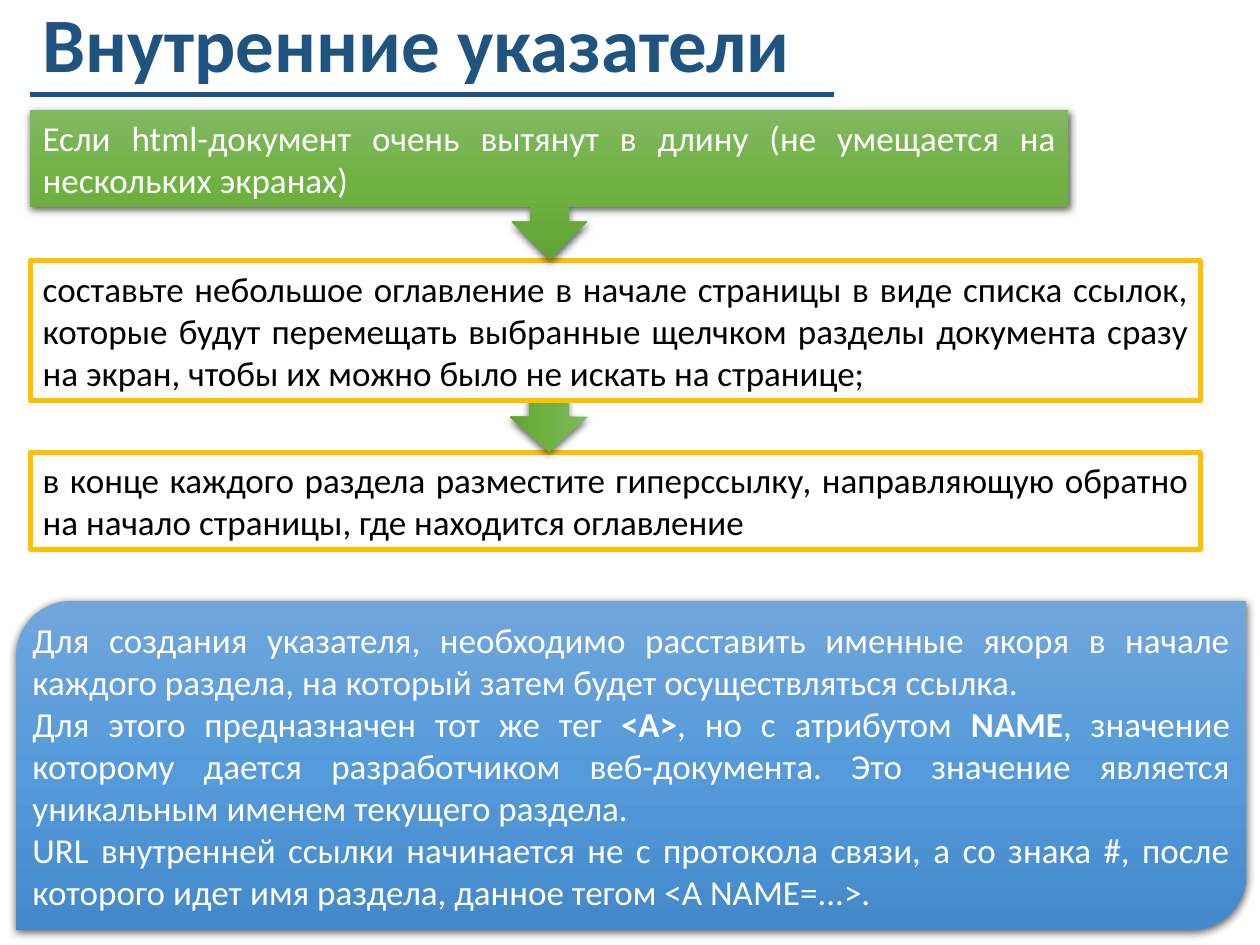
"""Build the slide about internal page anchors."""
from lxml import etree
from pptx import Presentation, util as u
from pptx.dml.color import RGBColor
from pptx.enum import shapes, text
from pptx.oxml import parse_xml
from pptx.oxml.ns import nsdecls

TITLE = "Внутренние указатели"
CONDITION = [[("Если html-документ очень вытянут в длину (не умещается на нескольких экранах)", False)]]
CONTENTS = [[("составьте небольшое оглавление в начале страницы в виде списка ссылок, "
              "которые будут перемещать выбранные щелчком разделы документа сразу на экран, "
              "чтобы их можно было не искать на странице;", False)]]
RETURN_LINK = [[("в конце каждого раздела разместите гиперссылку, направляющую обратно "
                 "на начало страницы, где находится оглавление", False)]]
ANCHORS = [
    [("Для создания указателя, необходимо расставить именные якоря в начале каждого раздела, "
      "на который затем будет осуществляться ссылка.", False)],
    [("Для этого предназначен тот же тег ", False), ("<A>", True), (", но с атрибутом ", False),
     ("NAME", True), (", значение которому дается разработчиком веб-документа. "
                      "Это значение является уникальным именем текущего раздела.", False)],
    [("URL внутренней ссылки начинается не с протокола связи, а со знака #, "
      "после которого идет имя раздела, данное тегом <A NAME=...>.", False)],
]
FONT, NAVY, AMBER, WHITE, BLACK = "Calibri", "1F5480", "FFC000", "FFFFFF", "000000"
GREEN = ("81B861", "6FB242", "62A336")
BLUE = ("71A6DB", "559BDB", "448ACA")
LEFT, STEP_WIDTH = 17.3, 668.9
KIND = shapes.MSO_SHAPE


def color(hex_string):
    """Return the colour for a hex string."""
    return RGBColor.from_string(hex_string)


def add_block(slide, kind, box, paragraphs=(), ink=BLACK, inset=None):
    """Add a shape with justified text."""
    shape = slide.shapes.add_shape(kind, *map(u.Pt, box))
    shape.shadow.inherit = False
    frame = shape.text_frame
    frame.word_wrap = True
    frame.vertical_anchor = text.MSO_ANCHOR.MIDDLE
    if inset is not None:
        frame.margin_left = frame.margin_right = u.Pt(inset)
        frame.margin_top = frame.margin_bottom = u.Pt(inset)
    for index, runs in enumerate(paragraphs):
        paragraph = frame.add_paragraph() if index else frame.paragraphs[0]
        paragraph.alignment = text.PP_ALIGN.JUSTIFY
        paragraph.font.name, paragraph.font.size = FONT, u.Pt(20)
        paragraph.font.color.rgb = color(ink)
        for words, bold in runs:
            run = paragraph.add_run()
            run.text = words
            if bold:
                run.font.bold = True
    return shape


def add_step(slide, top, height, paragraphs):
    """Add a white box with an amber frame."""
    shape = add_block(slide, KIND.RECTANGLE, (LEFT, top, STEP_WIDTH, height), paragraphs)
    shape.fill.solid()
    shape.fill.fore_color.rgb = color(WHITE)
    shape.line.color.rgb = color(AMBER)
    shape.line.width = u.Pt(3)


def make_glossy(shape, colors):
    """Give a shape a vertical gradient and a soft shadow."""
    shape.line.fill.background()
    stops = "".join(f'<a:gs pos="{index * 50000}"><a:srgbClr val="{value}"/></a:gs>'
                    for index, value in enumerate(colors))
    properties = shape.element.spPr
    properties.find("{*}prstGeom").addnext(parse_xml(
        f'<a:gradFill {nsdecls("a")} rotWithShape="1"><a:gsLst>{stops}</a:gsLst>'
        '<a:lin ang="5400000" scaled="0"/></a:gradFill>'))
    properties.find("{*}effectLst").append(parse_xml(
        f'<a:outerShdw {nsdecls("a")} blurRad="{u.Pt(4.5)}" dist="{u.Pt(1.5)}" dir="5400000" '
        'algn="ctr" rotWithShape="0"><a:srgbClr val="000000"><a:alpha val="63000"/>'
        '</a:srgbClr></a:outerShdw>'))


def add_heading(slide):
    """Fill the title and underline it."""
    title = slide.shapes.title
    title.left, title.top, title.width, title.height = map(u.Pt, (LEFT, 0, 542.9, 74.2))
    frame = title.text_frame
    frame.text = TITLE
    frame.auto_size = text.MSO_AUTO_SIZE.NONE
    frame.vertical_anchor = text.MSO_ANCHOR.TOP
    paragraph = frame.paragraphs[0]
    paragraph.alignment = text.PP_ALIGN.LEFT
    paragraph.line_spacing = 0.9
    paragraph.font.name, paragraph.font.size, paragraph.font.bold = FONT, u.Pt(44), True
    paragraph.font.color.rgb = color(NAVY)
    underline = slide.shapes.add_connector(
        shapes.MSO_CONNECTOR.STRAIGHT, *map(u.Pt, (LEFT, 54, 476.6, 54)))
    underline.line.color.rgb = color(NAVY)
    underline.line.width = u.Pt(3)
    etree.SubElement(underline.element.spPr,
                     "{http://schemas.openxmlformats.org/drawingml/2006/main}effectLst")


def main():
    """Build and save the presentation."""
    presentation = Presentation()
    presentation.slide_width, presentation.slide_height = u.Pt(720), u.Pt(540)
    slide = presentation.slides.add_slide(presentation.slide_layouts[5])
    add_heading(slide)
    add_step(slide, 258.5, 55.4, RETURN_LINK)
    arrow = add_block(slide, KIND.RIGHT_ARROW, (293.8, 216, 39.6, 44.6))
    arrow.rotation = 90
    make_glossy(arrow, GREEN)
    add_step(slide, 149, 79.9, CONTENTS)
    callout = add_block(slide, KIND.DOWN_ARROW_CALLOUT, (LEFT, 62.6, 593.3, 85.7), CONDITION, WHITE)
    make_glossy(callout, GREEN)
    panel = add_block(slide, KIND.ROUND_2_DIAG_RECTANGLE, (9.4, 343.4, 702.7, 187.9),
                      ANCHORS, WHITE, inset=0)
    make_glossy(panel, BLUE)
    presentation.save("out.pptx")


if __name__ == "__main__":
    main()
